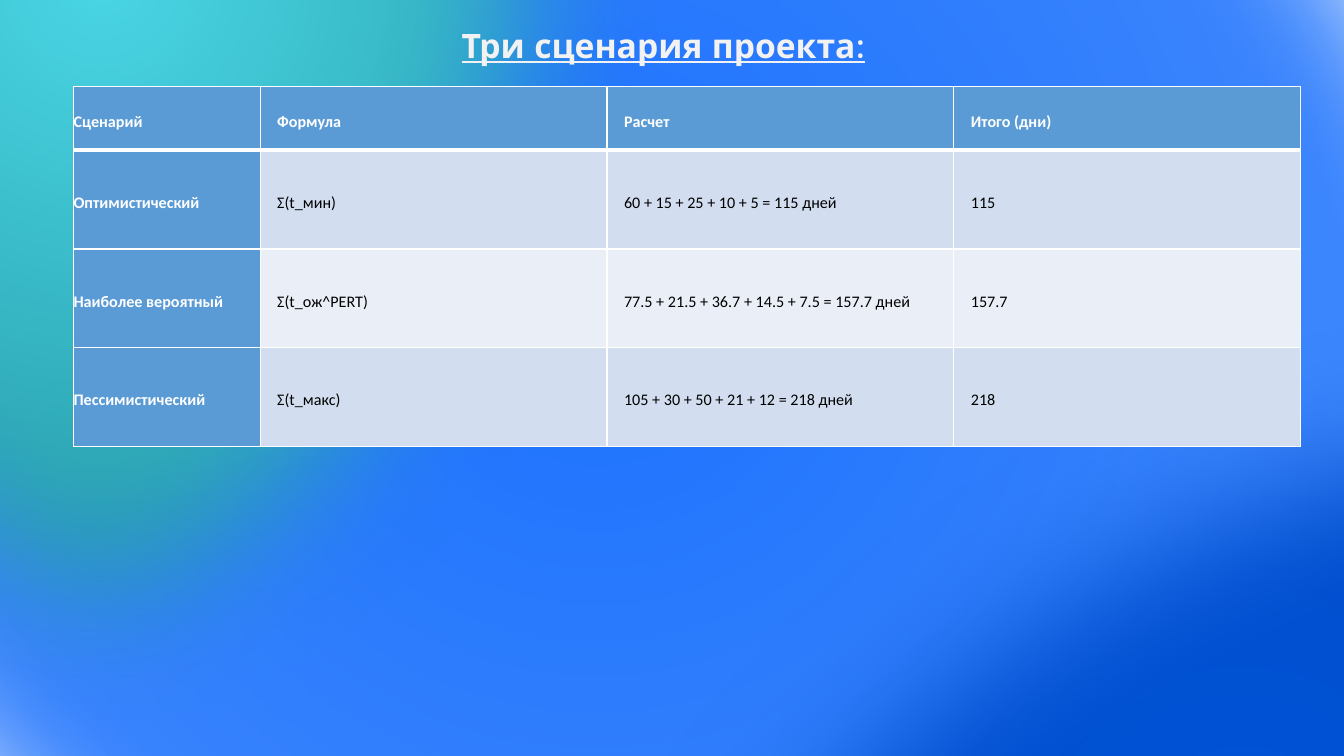
from lxml.etree import SubElement as Sub
from pptx import Presentation
from pptx.dml.color import RGBColor as RGB
from pptx.enum.shapes import MSO_SHAPE as Shape
from pptx.enum.text import MSO_ANCHOR as Anchor, MSO_AUTO_SIZE as Auto
from pptx.oxml.ns import qn
from pptx.util import Inches, Pt

WHITE = RGB(0xFF, 0xFF, 0xFF)
BLACK = RGB(0, 0, 0)
PALE = RGB(0xF2, 0xF2, 0xF2)
HEAD = RGB(0x5B, 0x9B, 0xD5)
BAND = RGB(0xD2, 0xDE, 0xEF)
LIGHT = RGB(0xEA, 0xEF, 0xF7)
NAVY = RGB(0x00, 0x2D, 0x76)
BLUE = RGB(0x1B, 0x71, 0xFD)
SKY = RGB(0x72, 0xA7, 0xFE)
AQUA = RGB(0x4A, 0xD6, 0xE5)
TEAL = RGB(0x13, 0x7C, 0x87)
VIVID = RGB(0x15, 0x6E, 0xFF)
ROYAL = RGB(0x01, 0x53, 0xD9)
DEEP = RGB(0x00, 0x46, 0xB8)

GLOWS = [
    ((-5.01, -6.54, 21.87, 19), 25.8, [(0, NAVY), (0, BLUE), (100, SKY)]),
    ((-6.74, -5.93, 15.5, 11.44), 270, [(0, AQUA), (100, TEAL)]),
    ((4.67, 3.62, 15.28, 9.94), 331.6, [(0, VIVID), (0, ROYAL), (85, DEEP)]),
]
ROWS = [
    ("Сценарий", "Формула", "Расчет", "Итого (дни)"),
    ("Оптимистический", "Σ(t_мин)", "60 + 15 + 25 + 10 + 5 = 115 дней", "115"),
    ("Наиболее вероятный", "Σ(t_ож^PERT)",
     "77.5 + 21.5 + 36.7 + 14.5 + 7.5 = 157.7 дней", "157.7"),
    ("Пессимистический", "Σ(t_макс)",
     "105 + 30 + 50 + 21 + 12 = 218 дней", "218"),
]


class Deck:
    """Holds the text styles and the current slide."""

    title_font = {"name": "Quicksand", "size": Pt(24), "bold": True,
                  "underline": True}
    cell_font = {"name": "Calibri", "size": Pt(11.5)}
    para = {"line_spacing": Pt(18.8), "space_after": Pt(8)}

    def __init__(self, slide):
        self.slide = slide

    def put(self, item, values):
        for key, val in values.items():
            setattr(item, key, val)

    def text(self, para, words, font, color):
        run = para.add_run()
        run.text = words
        self.put(run.font, font)
        run.font.color.rgb = color

    def glow(self, box, turn, stops, soft=Pt(100)):
        oval = self.slide.shapes.add_shape(Shape.OVAL, *map(Inches, box))
        oval.rotation = turn
        oval.line.fill.background()
        oval.fill.gradient()
        props = oval._element.spPr
        grad = props.find(qn("a:gradFill"))
        for part in list(grad):
            grad.remove(part)
        chain = Sub(grad, qn("a:gsLst"))
        for pos, color in stops:
            stop = Sub(chain, qn("a:gs"), pos=str(pos * 1000))
            Sub(stop, qn("a:srgbClr"), val=str(color))
        ring = Sub(grad, qn("a:path"), {"path": "circle"})
        Sub(ring, qn("a:fillToRect"), dict.fromkeys("ltrb", "50000"))
        oval.shadow.inherit = False
        Sub(props.find(qn("a:effectLst")), qn("a:softEdge"), rad=str(int(soft)))

    def title(self, words, box):
        frame = self.slide.shapes.add_textbox(*map(Inches, box)).text_frame
        self.put(frame, {"word_wrap": True, "auto_size": Auto.SHAPE_TO_FIT_TEXT})
        self.text(frame.paragraphs[0], words, self.title_font, PALE)

    def edges(self, cell, base):
        props = cell._tc.get_or_add_tcPr()
        for i, side in enumerate(("lnL", "lnR", "lnT", "lnB")):
            wide = Pt(base if side == "lnB" else 1)
            line = props.makeelement(qn("a:" + side), {"w": str(int(wide))})
            props.insert(i, line)
            fill = Sub(line, qn("a:solidFill"))
            Sub(fill, qn("a:srgbClr"), val=str(WHITE))

    def cell(self, cell, words, row, col):
        bold = row == 0 or col == 0
        self.put(cell, {
            "vertical_anchor": Anchor.MIDDLE,
            "margin_left": Inches(0.17 if col else 0),
            "margin_right": Inches(0 if row and col == 3 else 0.17),
            "margin_top": Inches(0.1), "margin_bottom": Inches(0.1)})
        cell.fill.solid()
        cell.fill.fore_color.rgb = HEAD if bold else BAND if row % 2 else LIGHT
        self.edges(cell, 1 if row else 3)
        para = cell.text_frame.paragraphs[0]
        self.put(para, self.para)
        self.text(para, words, {**self.cell_font, "bold": bold},
                  WHITE if bold else BLACK)

    def table(self, rows, box, wide, high):
        grid = self.slide.shapes.add_table(
            len(rows), len(wide), *map(Inches, box)).table
        grid.first_col = True
        for col, size in zip(grid.columns, wide):
            col.width = Inches(size)
        for r, (row, size) in enumerate(zip(rows, high)):
            grid.rows[r].height = Inches(size)
            for c, words in enumerate(row):
                self.cell(grid.cell(r, c), words, r, c)


def main():
    prs = Presentation()
    prs.slide_width, prs.slide_height = Inches(13.33), Inches(7.5)
    deck = Deck(prs.slides.add_slide(prs.slide_layouts[6]))
    for box, turn, stops in GLOWS:
        deck.glow(box, turn, stops)
    deck.title("Три сценария проекта:", (4.48, 0.2, 6, 0.5))
    deck.table(ROWS, (0.73, 0.86, 12.18, 3.57),
               [1.85] + [3.44] * 3, [0.63] + [0.98] * 3)
    prs.save("out.pptx")


if __name__ == "__main__":
    main()
